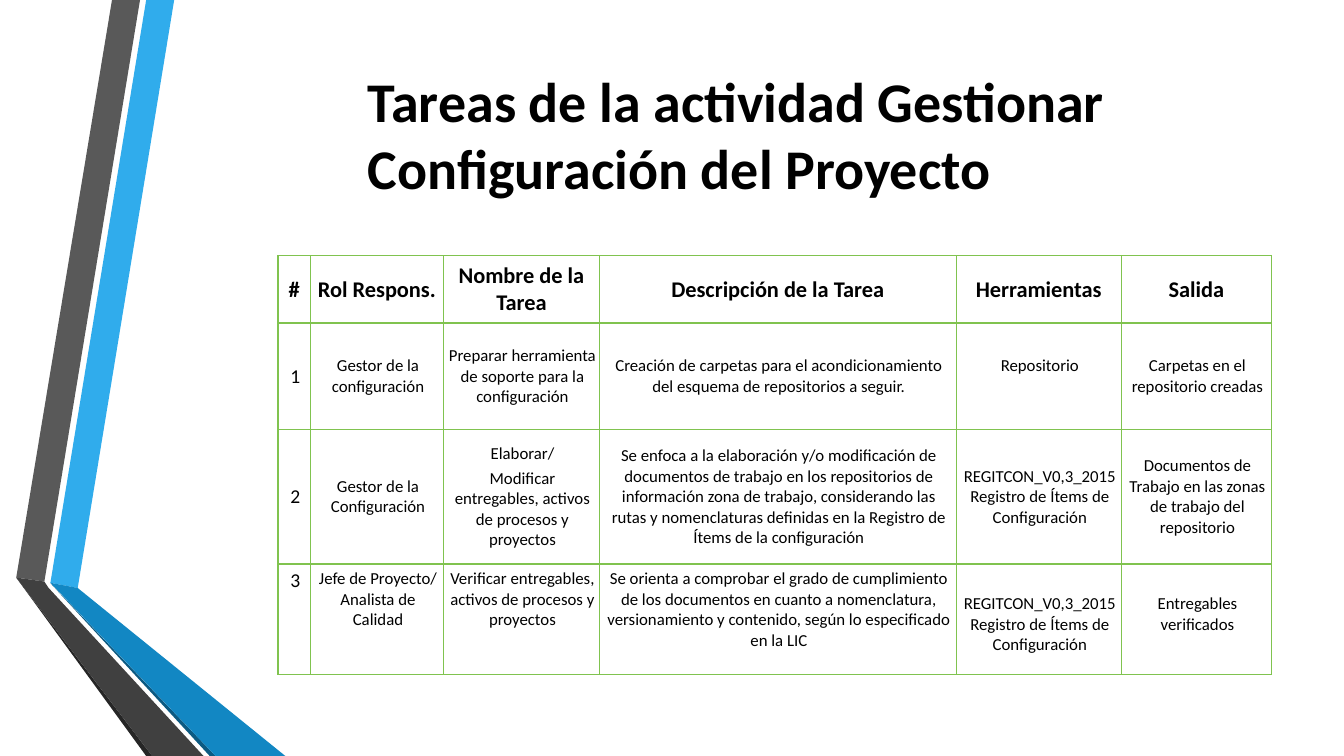
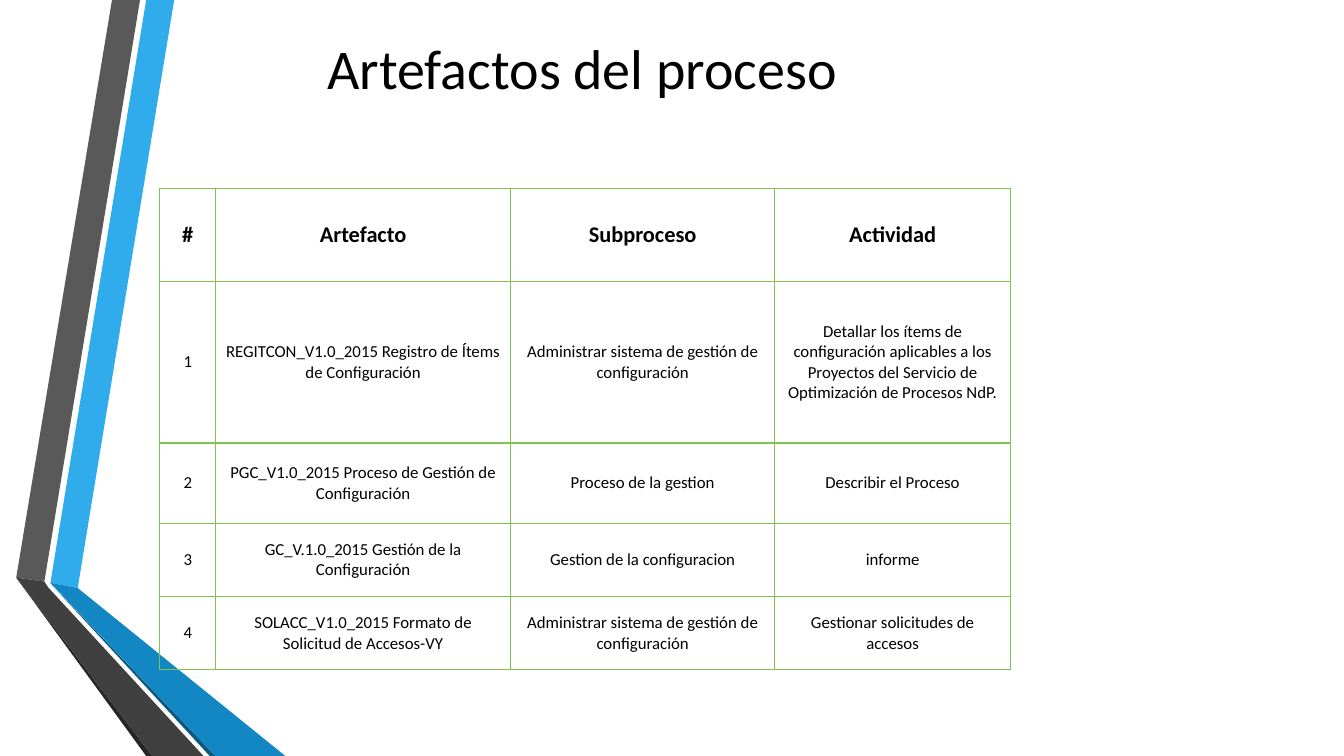
"""Builds two slides on configuration management tasks and artefacts."""
from lxml import etree
from pptx import Presentation
from pptx.dml.color import RGBColor
from pptx.enum import text
from pptx.oxml.ns import qn
from pptx.util import Pt

FONT = "Calibri"
BLACK = "000000"
GREEN = "80C34F"
BANDS = [
    ("30ACEC", [(36, 416.3), (55.5, 420), (124.4, 0), (104.4, 0)]),
    ("595959", [(100, 0), (80, 0), (11.6, 412.6), (31.7, 415.4)]),
    ("262626", [(11.6, 412.6), (104.4, 540), (108.7, 540)]),
    ("0C5A82", [(36, 416.6), (149.8, 540), (154, 540)]),
    ("1287C3", [(36, 416.3), (154, 540), (203.8, 540), (55.5, 420)]),
    ("404040", [(11.6, 412.6), (108.7, 540), (145.4, 540), (34.6, 419.8), (31.7, 415.4)]),
]
SLIDES = [
    {
        "title": "Tareas de la actividad Gestionar Configuración del Proyecto",
        "title_box": (255.6, 43.9, 595.4, 104.4),
        "title_format": {"bold": True},
        "wrap": True,
        "origin": (198.6, 182.7),
        "columns": [23.2, 95, 111.4, 255, 117.8, 107.4],
        "heights": [48, 76.2, 96, 79.2],
        "number_size": 14,
        "header_margins": (0, 3.6, 0, 3.6),
        "body_margins": (2.9, 3.6, 1.4, 3.6),
        "special_margins": {
            (1, 4): {"margin_bottom": 18},
            (3, 4): {"margin_top": 21.4},
            (3, 5): {"margin_top": 21.4},
        },
        "top_rows": [3],
        "rows": [
            ["#", "Rol Respons.", "Nombre de la Tarea", "Descripción de la Tarea",
             "Herramientas", "Salida"],
            ["1", "Gestor de la configuración",
             "Preparar herramienta de soporte para la configuración",
             "Creación de carpetas para el acondicionamiento del esquema de "
             "repositorios a seguir.",
             "Repositorio", "Carpetas en el repositorio creadas"],
            ["2", "Gestor de la Configuración",
             "Elaborar/\nModificar entregables, activos de procesos y proyectos",
             "Se enfoca a la elaboración y/o modificación de documentos de trabajo en "
             "los repositorios de información zona de trabajo, considerando las rutas y "
             "nomenclaturas definidas en la Registro de Ítems de la configuración",
             "REGITCON_V0,3_2015 Registro de Ítems de Configuración",
             "Documentos de Trabajo en las zonas de trabajo del repositorio"],
            ["3", "Jefe de Proyecto/ Analista de Calidad",
             "Verificar entregables, activos de procesos y proyectos",
             "Se orienta a comprobar el grado de cumplimiento de los documentos en "
             "cuanto a nomenclatura, versionamiento y contenido, según lo especificado "
             "en la LIC",
             "REGITCON_V0,3_2015 Registro de Ítems de Configuración",
             "Entregables verificados"],
        ],
    },
    {
        "title": "Artefactos del proceso",
        "title_box": (226.8, 20.2, 401.8, 55.4),
        "title_format": {"bold": False},
        "wrap": False,
        "origin": (114.2, 134.6),
        "columns": [39.8, 210.8, 188.6, 168.5],
        "heights": [66.4, 115.4, 57.5, 52.3, 52.3],
        "number_size": 12,
        "header_margins": (7.2, 3.6, 7.2, 3.6),
        "body_margins": (7.2, 3.6, 7.2, 3.6),
        "special_margins": {},
        "top_rows": [],
        "rows": [
            ["#", "Artefacto", "Subproceso", "Actividad"],
            ["1", "REGITCON_V1.0_2015 Registro de Ítems de Configuración",
             "Administrar sistema de gestión de configuración",
             "Detallar los ítems de configuración aplicables a los Proyectos del "
             "Servicio de Optimización de Procesos NdP."],
            ["2", "PGC_V1.0_2015 Proceso de Gestión de Configuración",
             "Proceso de la gestion", "Describir el Proceso"],
            ["3", "GC_V.1.0_2015 Gestión de la Configuración",
             "Gestion de la configuracion", "informe"],
            ["4", "SOLACC_V1.0_2015 Formato de Solicitud de Accesos-VY",
             "Administrar sistema de gestión de configuración",
             "Gestionar solicitudes de accesos"],
        ],
    },
]


def color(value):
    return RGBColor.from_string(value)


def format_text(frame, size, bold, alignment, space_before):
    for paragraph in frame.paragraphs:
        paragraph.alignment = alignment
        paragraph.space_before = Pt(space_before)
        font = paragraph.font
        for name, value in {"name": FONT, "size": Pt(size), "bold": bold}.items():
            setattr(font, name, value)
        font.color.rgb = color(BLACK)


presentation = Presentation()
presentation.slide_width, presentation.slide_height = Pt(960), Pt(540)
layout = presentation.slide_layouts[5]
slides = [presentation.slides.add_slide(layout) for content in SLIDES]

for number, (fill, points) in enumerate(BANDS):
    corners = [(Pt(x), Pt(y)) for x, y in points]
    builder = slides[0].shapes.build_freeform(*corners[0])
    builder.add_line_segments(corners[1:], close=True)
    band = builder.convert_to_shape()
    band.fill.solid()
    band.fill.fore_color.rgb = color(fill)
    band.line.fill.background()
    band.shadow.inherit = False
    band.element.nvSpPr.cNvPr.set("id", str(100 + number))
    layout.shapes.element.append(band.element)

for slide, content in zip(slides, SLIDES):
    title = slide.shapes.title
    for name, value in zip(("left", "top", "width", "height"), content["title_box"]):
        setattr(title, name, Pt(value))
    frame = title.text_frame
    frame.text = content["title"]
    frame_format = {
        "word_wrap": content["wrap"],
        "auto_size": text.MSO_AUTO_SIZE.NONE,
        "vertical_anchor": text.MSO_ANCHOR.TOP,
    }
    for name, value in frame_format.items():
        setattr(frame, name, value)
    format_text(frame, 40, content["title_format"]["bold"], text.PP_ALIGN.LEFT, 0)

    columns, heights = content["columns"], content["heights"]
    box = (*content["origin"], sum(columns), sum(heights))
    table = slide.shapes.add_table(
        len(heights), len(columns), *[Pt(value) for value in box]
    ).table
    table.first_row = table.horz_banding = False
    for column, width in zip(table.columns, columns):
        column.width = Pt(width)
    for row_index, (row, height) in enumerate(zip(table.rows, heights)):
        row.height = Pt(height)
        header = row_index == 0
        margins = content["header_margins" if header else "body_margins"]
        top = row_index in content["top_rows"]
        for column_index, cell in enumerate(row.cells):
            cell.text_frame.text = content["rows"][row_index][column_index]
            size = 16 if header else content["number_size"] if column_index == 0 else 12
            format_text(cell.text_frame, size, header, text.PP_ALIGN.CENTER, 3)
            cell.vertical_anchor = text.MSO_ANCHOR.TOP if top else text.MSO_ANCHOR.MIDDLE
            cell_margins = dict(
                zip(("margin_left", "margin_top", "margin_right", "margin_bottom"), margins)
            )
            cell_margins.update(content["special_margins"].get((row_index, column_index), {}))
            for name, value in cell_margins.items():
                setattr(cell, name, Pt(value))
            properties = cell._tc.get_or_add_tcPr()
            for side in ("lnL", "lnR", "lnT", "lnB"):
                border = etree.SubElement(properties, qn(f"a:{side}"), w=str(Pt(1)))
                solid = etree.SubElement(border, qn("a:solidFill"))
                etree.SubElement(solid, qn("a:srgbClr"), val=GREEN)
            cell.fill.background()

presentation.save("out.pptx")
